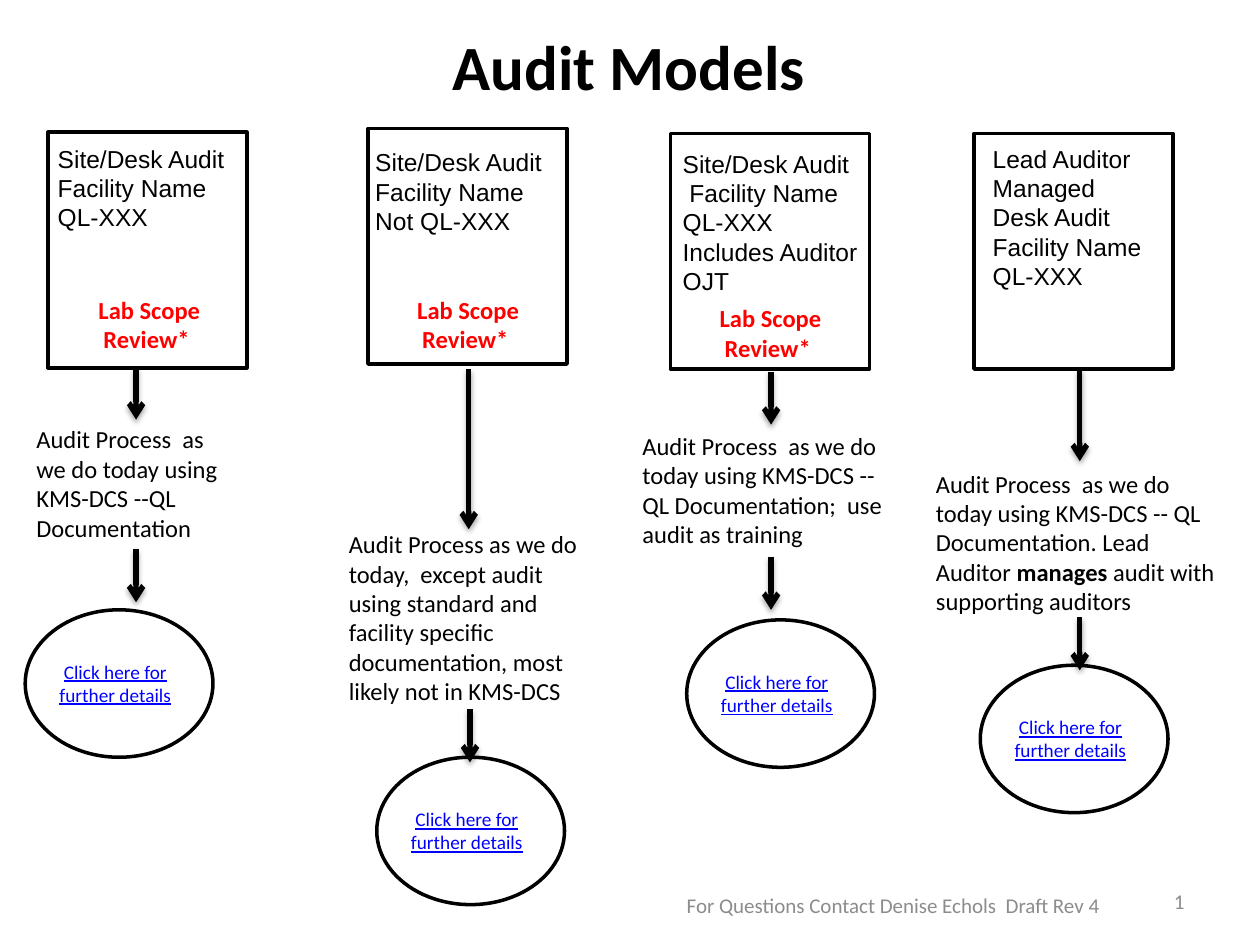
from lxml.etree import SubElement
from pptx import Presentation
from pptx.dml.color import RGBColor
from pptx.enum.shapes import MSO_CONNECTOR, MSO_SHAPE
from pptx.enum.text import MSO_ANCHOR, MSO_AUTO_SIZE, PP_ALIGN
from pptx.oxml.ns import qn
from pptx.util import Pt

EMU_PER_PX = 9144  # 100 px to the inch
COLORS = {"black": "000000", "red": "FF0000", "link": "0000FF", "gray": "8C8C8C"}
FORMATS = {
    "title": {"name": "Calibri", "size": Pt(36), "bold": True, "color": "black"},
    "model": {"name": "Arial", "size": Pt(14), "color": "black"},
    "process": {"name": "Calibri", "size": Pt(14), "color": "black"},
    "review": {"name": "Calibri", "size": Pt(14), "bold": True, "color": "red"},
    "link": {"name": "Calibri", "size": Pt(11), "underline": True, "color": "link"},
    "footer": {"name": "Calibri", "size": Pt(12), "color": "gray"},
}
BOX_SIZE = (158, 187)
REVIEW_SIZE = (155, 57)
OVAL_SIZE = (149, 117)
LINK_OFFSET = (9, 35)
LINK_SIZE = (125, 47)

# One entry per audit model; arrows are (x, top, bottom), ** marks bold
MODELS = [
    {
        "box": (38, 105), "label": (36, 109, 192, 81), "wrap": True,
        "lines": ["Site/Desk Audit Facility Name", "QL-XXX"],
        "review": (41, 229),
        "arrows": [(108, 292, 333), (108, 436, 478)],
        "process": (19, 332, 178, 104),
        "steps": ["Audit Process  as we do today using KMS-DCS --QL Documentation"],
        "oval": (20, 484),
    },
    {
        "box": (292, 102), "label": (288, 112, 153, 81), "wrap": False,
        "lines": ["Site/Desk Audit", "Facility Name", "Not QL-XXX"],
        "review": (294, 229),
        "arrows": [(372, 293, 420), (373, 563, 605)],
        "process": (267, 415, 207, 151),
        "steps": [
            "Audit Process as we do today,  except audit using standard and facility specific",
            "documentation, most likely not in KMS-DCS",
        ],
        "oval": (299, 601),
    },
    {
        "box": (532, 106), "label": (532, 113, 160, 155), "wrap": False,
        "lines": ["Site/Desk Audit", " Facility Name", "QL-XXX", "Includes Auditor", "OJT"],
        "review": (534, 236),
        "arrows": [(612, 295, 337), (612, 442, 484)],
        "process": (500, 337, 225, 104),
        "steps": [
            "Audit Process  as we do today using KMS-DCS -- QL Documentation;  use audit as training"
        ],
        "oval": (545, 492),
    },
    {
        "box": (773, 106), "label": (778, 109, 158, 128), "wrap": True,
        "lines": ["Lead Auditor", "Managed", "Desk Audit", "Facility Name", "QL-XXX"],
        "review": None,
        "arrows": [(857, 293, 366), (857, 490, 532)],
        "process": (733, 367, 250, 128),
        "steps": [
            "Audit Process  as we do today using KMS-DCS -- QL Documentation. "
            "Lead Auditor **manages** audit with supporting auditors"
        ],
        "oval": (778, 528),
    },
]


def px(*lengths):
    return [length * EMU_PER_PX for length in lengths]


def rgb(name):
    return RGBColor.from_string(COLORS[name])


class SlideBuilder:
    def __init__(self, slide):
        self.slide = slide

    def text(self, area, lines, style, align=PP_ALIGN.LEFT, wrap=True, footer=False):
        frame = self.slide.shapes.add_textbox(*px(*area)).text_frame
        frame.word_wrap = wrap
        if footer:
            frame.vertical_anchor = MSO_ANCHOR.MIDDLE
        else:
            frame.auto_size = MSO_AUTO_SIZE.SHAPE_TO_FIT_TEXT
        for index, line in enumerate(lines):
            paragraph = frame.paragraphs[0] if index == 0 else frame.add_paragraph()
            paragraph.alignment = align
            for part, words in enumerate(line.split("**")):
                run = paragraph.add_run()
                run.text = words
                self.format(run.font, FORMATS[style])
                if part % 2:
                    run.font.bold = True

    def format(self, font, values):
        for key, value in values.items():
            if key == "color":
                font.color.rgb = rgb(value)
            else:
                setattr(font, key, value)

    def outline(self, kind, position, size):
        shape = self.slide.shapes.add_shape(kind, *px(*position, *size))
        shape.shadow.inherit = False
        shape.fill.background()
        shape.line.color.rgb = rgb("black")
        shape.line.width = Pt(2)

    def arrow(self, x, top, bottom):
        connector = self.slide.shapes.add_connector(
            MSO_CONNECTOR.STRAIGHT, *px(x, top, x, bottom))
        connector.line.color.rgb = rgb("black")
        connector.line.width = Pt(3)
        properties = connector.element.spPr
        SubElement(properties.find(qn("a:ln")), qn("a:tailEnd"), type="arrow")
        # Soft shadow straight below the arrow
        effects = SubElement(properties, qn("a:effectLst"))
        shadow = SubElement(
            effects, qn("a:outerShdw"), blurRad=str(Pt(3.1)), dist=str(Pt(1.8)),
            dir="5400000", rotWithShape="0")
        color = SubElement(shadow, qn("a:srgbClr"), val=COLORS["black"])
        SubElement(color, qn("a:alpha"), val="35000")

    def link_oval(self, left, top):
        self.outline(MSO_SHAPE.OVAL, (left, top), OVAL_SIZE)
        area = (left + LINK_OFFSET[0], top + LINK_OFFSET[1], *LINK_SIZE)
        self.text(area, ["Click here for further details"], "link", PP_ALIGN.CENTER)

    def model(self, model):
        self.outline(MSO_SHAPE.RECTANGLE, model["box"], BOX_SIZE)
        self.text(model["label"], model["lines"], "model", wrap=model["wrap"])
        if model["review"]:
            self.text((*model["review"], *REVIEW_SIZE), ["Lab Scope Review* "],
                      "review", PP_ALIGN.CENTER)
        self.text(model["process"], model["steps"], "process")
        self.link_oval(*model["oval"])
        for arrow in model["arrows"]:
            self.arrow(*arrow)


def main():
    presentation = Presentation()
    presentation.slide_width, presentation.slide_height = px(1000, 750)
    builder = SlideBuilder(presentation.slides.add_slide(presentation.slide_layouts[6]))

    # Title
    builder.text((320, 17, 358, 71), ["Audit Models"], "title", PP_ALIGN.CENTER)

    # Audit model columns
    for model in MODELS:
        builder.model(model)

    # Footer and page number
    builder.text((534, 698, 350, 40), ["For Questions Contact Denise Echols  Draft Rev 4"],
                 "footer", PP_ALIGN.CENTER, footer=True)
    builder.text((658, 695, 292, 40), ["1"], "footer", PP_ALIGN.RIGHT, footer=True)

    presentation.save("out.pptx")


if __name__ == "__main__":
    main()
